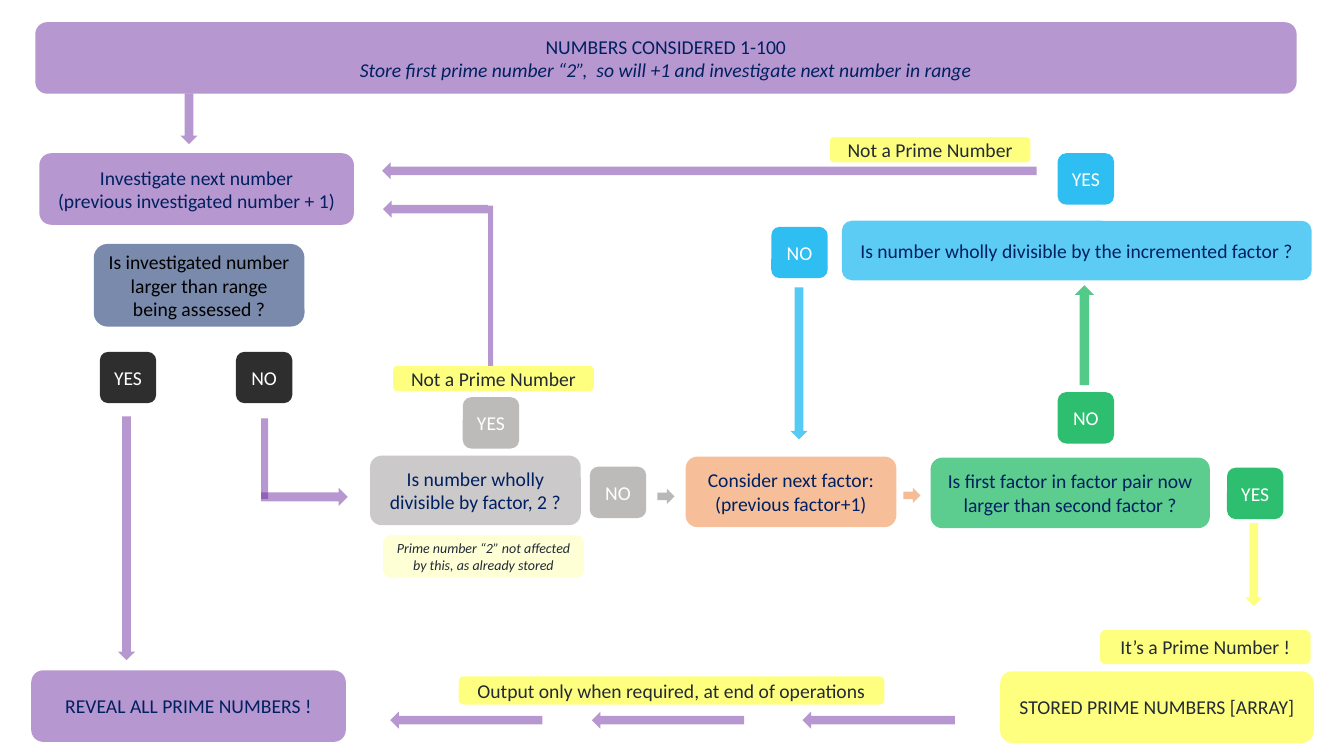
from pptx import Presentation, util as u
from pptx.dml.color import RGBColor
from pptx.enum import shapes, text
from pptx.oxml import ns
from lxml import etree

HEX = {
    "purple": "7030A0", "yellow": "FFFF00", "gray": "AFABAB", "dim": "767171",
    "black": "000000", "green": "00B050", "blue": "00B0F0", "orange": "ED7D31",
    "navy": "002060", "slate": "222A35", "white": "FFFFFF",
}
KIND = shapes.MSO_SHAPE
ARROWS = {"down": KIND.DOWN_ARROW, "up": KIND.UP_ARROW,
          "left": KIND.LEFT_ARROW, "right": KIND.RIGHT_ARROW}
FONT = "Calibri"
THIN = 0.17   # arrow thickness
CHIP = (0.56, 0.51)


def draw(sl, box, at, kind, hue, alpha):
    """Add a translucent shape at an offset (dx, dy, w, h) inside a box."""
    x, y, w, h = box[0] + at[0], box[1] + at[1], at[2], at[3]
    shp = sl.shapes.add_shape(kind, *(u.Inches(v) for v in (x, y, w, h)))
    shp.shadow.inherit = False
    shp.line.fill.background()
    shp.fill.solid()
    shp.fill.fore_color.rgb = RGBColor.from_string(HEX[hue])
    tint = shp.fill._xPr.find(".//" + ns.qn("a:srgbClr"))
    etree.SubElement(tint, ns.qn("a:alpha")).set("val", str(alpha * 1000))
    return shp


def node(sl, box, at, lines, hue, alpha=50, ink="navy", size=14, slant=()):
    """Add a rounded box with centred lines; slant lists the italic ones."""
    frame = draw(sl, box, at, KIND.ROUNDED_RECTANGLE, hue, alpha).text_frame
    frame.word_wrap = True
    frame.vertical_anchor = text.MSO_ANCHOR.MIDDLE
    for i, line in enumerate(lines):
        para = frame.add_paragraph() if i else frame.paragraphs[0]
        para.alignment = text.PP_ALIGN.CENTER
        run = para.add_run()
        run.text = line
        run.font.name = FONT
        run.font.size = u.Pt(size)
        run.font.italic = i in slant
        run.font.color.rgb = RGBColor.from_string(HEX[ink])


def chip(sl, box, dx, dy, word, hue):
    """Add a YES or NO answer."""
    node(sl, box, (dx, dy, *CHIP), [word], hue, 82, "white")


def label(sl, box, at, words):
    """Add a yellow outcome label."""
    node(sl, box, at, [words], "yellow", ink="slate")


def arrow(sl, box, at, way, hue="purple", alpha=50):
    """Add a block arrow pointing the given way."""
    draw(sl, box, at, ARROWS[way], hue, alpha)


def bar(sl, box, at):
    """Add the plain leg of a bent arrow."""
    draw(sl, box, at, KIND.RECTANGLE, "purple", 50)


def intake(sl, box):
    """Header and the step that picks the next number."""
    node(sl, box, (0, 0, box[2], 0.71),
         ["NUMBERS CONSIDERED 1-100",
          "Store first prime number “2”,  so will +1 and "
          "investigate next number in range"], "purple", slant=(1,))
    arrow(sl, box, (1.44, 0.71, THIN, 0.5), "down")
    node(sl, box, (0.04, 1.3, 3.12, 0.71),
         ["Investigate next number", "(previous investigated number + 1)"],
         "purple")


def limit(sl, box):
    """Range check, its answers and the final reveal."""
    node(sl, box, (0.62, 0, 2.09, 0.82),
         ["Is investigated number larger than range being assessed ?"],
         "navy", 52, "black")
    chip(sl, box, 0.68, 1.07, "YES", "black")
    chip(sl, box, 2.03, 1.07, "NO", "black")
    arrow(sl, box, (0.86, 1.71, THIN, 2.42), "down")
    bar(sl, box, (2.28, 1.73, 0.07, 0.8))
    arrow(sl, box, (2.28, 2.42, 0.86, 0.18), "right")
    node(sl, box, (0, box[3] - 0.71, 3.12, 0.71),
         ["REVEAL ALL PRIME NUMBERS !"], "purple")


def halve(sl, box):
    """Test by factor 2, with its way back to the next number."""
    arrow(sl, box, (0.13, 0, 1.04, THIN), "left")
    bar(sl, box, (1.17, 0.05, 0.05, 1.59))
    label(sl, box, (0.23, 1.64, 1.99, 0.25), "Not a Prime Number")
    chip(sl, box, 0.92, 1.95, "YES", "gray")
    node(sl, box, (0, 2.53, 2.09, 0.69),
         ["Is number wholly divisible by factor, 2 ?"], "gray", 64)
    chip(sl, box, 2.18, 2.64, "NO", "gray")
    arrow(sl, box, (2.85, 2.86, THIN, 0.15), "right", "dim")
    node(sl, box, (0.13, 3.32, 1.99, 0.42),
         ["Prime number “2” not affected by this, as already stored"],
         "yellow", 16, "slate", 10, (0,))


def factor(sl, box):
    """Next factor and the check of the factor pair."""
    node(sl, box, (0, 0, 2.09, 0.7),
         ["Consider next factor: (previous factor+1)"], "orange", 49)
    arrow(sl, box, (2.16, 0.31, THIN, 0.15), "right", "orange")
    node(sl, box, (2.43, 0.01, 2.77, 0.7),
         ["Is first factor in factor pair now larger than second factor ?"],
         "green", 64)
    chip(sl, box, 3.69, -0.64, "NO", "green")
    chip(sl, box, box[2] - CHIP[0], 0.11, "YES", "green")


def divide(sl, box):
    """Test by the incremented factor and its two outcomes."""
    arrow(sl, box, (0, 0.25, 6.49, THIN), "left")
    label(sl, box, (4.44, 0, 1.99, 0.25), "Not a Prime Number")
    chip(sl, box, 6.7, 0.16, "YES", "blue")
    chip(sl, box, 3.86, 0.89, "NO", "blue")
    node(sl, box, (4.56, 0.83, 4.66, 0.59),
         ["Is number wholly divisible by the incremented factor ?"],
         "blue", 64)
    arrow(sl, box, (4.05, 1.49, THIN, 1.51), "down", "blue", 67)
    arrow(sl, box, (6.87, 1.47, 0.19, 0.99), "up", "green", 67)


def store(sl, box):
    """Found prime and the array that stores it."""
    arrow(sl, box, (2.43, 0, THIN, 0.82), "down", "yellow")
    label(sl, box, (0.99, 1.06, 2.09, 0.34), "It’s a Prime Number !")
    label(sl, box, (0, 1.47, box[2], 0.71), "STORED PRIME NUMBERS [ARRAY]")


def output(sl, box):
    """Row of arrows from the array to the reveal."""
    label(sl, box, (0.68, 0, 4.22, 0.28),
          "Output only when required, at end of operations")
    for dx in (0, 2, 4.09):
        arrow(sl, box, (dx, 0.35, 1.51, THIN), "left")


def main():
    """Build the flowchart slide."""
    deck = Presentation()
    deck.slide_width, deck.slide_height = u.Inches(13.33), u.Inches(7.5)
    sl = deck.slides.add_slide(deck.slide_layouts[6])
    intake(sl, (0.35, 0.22, 12.51, 2.01))
    limit(sl, (0.31, 2.42, 3.14, 4.94))
    halve(sl, (3.67, 1.99, 3.02, 3.74))
    factor(sl, (6.8, 4.53, 5.93, 0.71))
    divide(sl, (3.79, 1.36, 9.22, 3))
    store(sl, (9.92, 5.19, 3.11, 2.18))
    output(sl, (3.87, 6.71, 5.6, 0.52))
    deck.save("out.pptx")


main()
